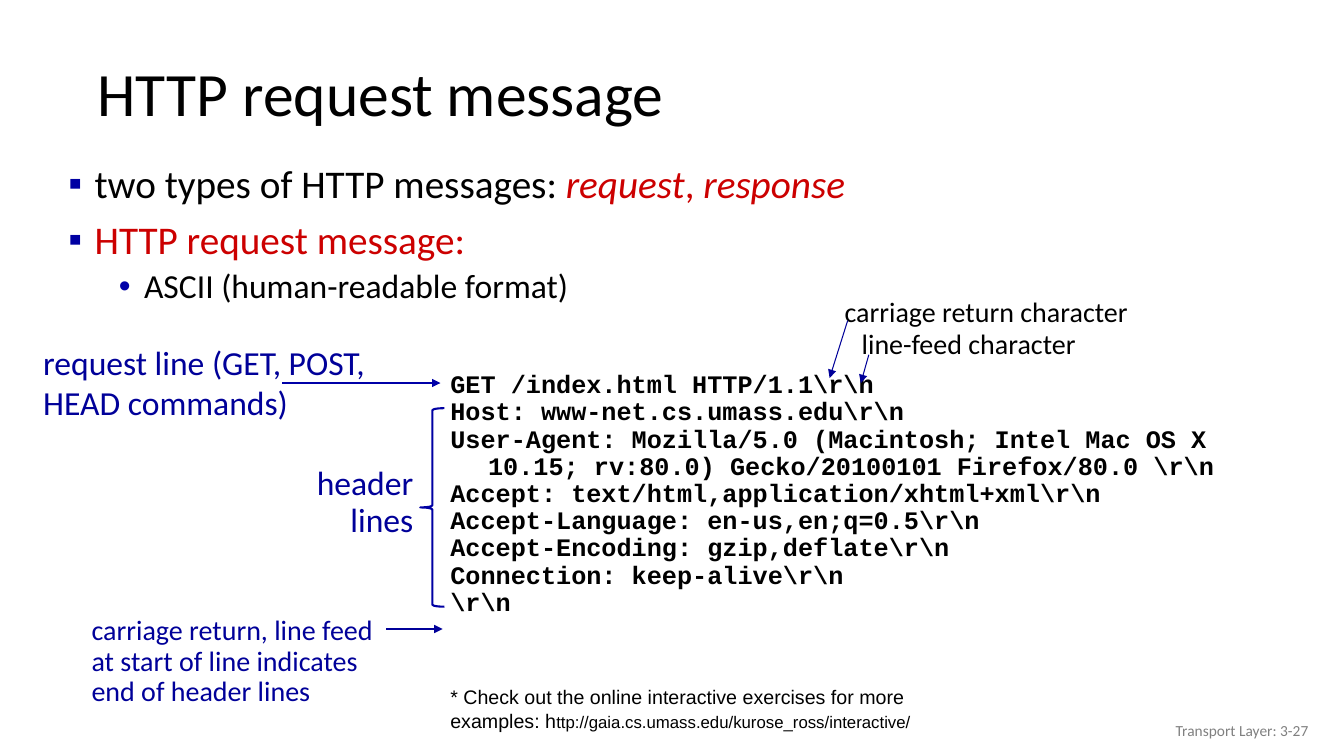
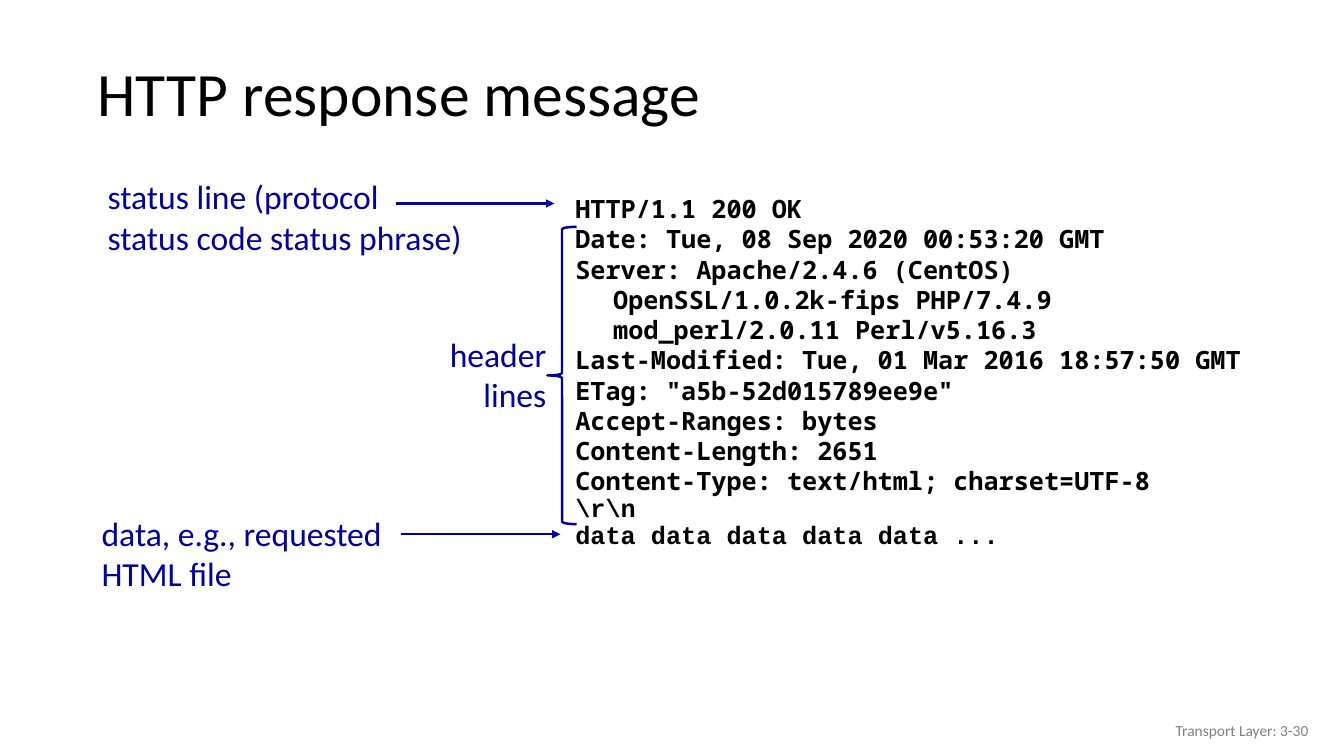
from lxml import etree
from pptx import Presentation
from pptx.dml.color import RGBColor
from pptx.enum import shapes, text
from pptx.oxml import ns
from pptx.util import Pt

BLACK = RGBColor(0x00, 0x00, 0x00)
GREY = RGBColor(0x80, 0x80, 0x80)
RED = RGBColor(0xCC, 0x00, 0x00)
NAVY = RGBColor(0x00, 0x00, 0x99)
BLUE = RGBColor(0x00, 0x00, 0xA3)
ARROW_BLUE = RGBColor(0x00, 0x00, 0xA8)

RIGHT = text.PP_ALIGN.RIGHT
MIDDLE = text.MSO_ANCHOR.MIDDLE
TEXT_STYLE = dict(font="Calibri", size=24, color=BLACK, bold=False, italic=False,
                  align=text.PP_ALIGN.LEFT, anchor=text.MSO_ANCHOR.TOP, wrap=True,
                  spacing=1.0, before=0, margin=0, hang=0, bullet=None, bullet_color=BLUE)

REQUEST = [
    r"GET /index.html HTTP/1.1\r\n",
    r"Host: www-net.cs.umass.edu\r\n",
    r"User-Agent: Mozilla/5.0 (Macintosh; Intel Mac OS X 10.15; rv:80.0) "
    r"Gecko/20100101 Firefox/80.0 \r\n",
    r"Accept: text/html,application/xhtml+xml\r\n",
    r"Accept-Language: en-us,en;q=0.5\r\n",
    r"Accept-Encoding: gzip,deflate\r\n",
    r"Connection: keep-alive\r\n",
    r"\r\n",
]
COURIER = dict(font="Courier New", spacing=0.9)
RESPONSE = [
    "HTTP/1.1 200 OK",
    "Date: Tue, 08 Sep 2020 00:53:20 GMT",
    "Server: Apache/2.4.6 (CentOS) OpenSSL/1.0.2k-fips PHP/7.4.9 mod_perl/2.0.11 Perl/v5.16.3",
    "Last-Modified: Tue, 01 Mar 2016 18:57:50 GMT",
    'ETag: "a5b-52d015789ee9e"',
    "Accept-Ranges: bytes",
    "Content-Length: 2651",
    "Content-Type: text/html; charset=UTF-8",
    [(r"\r\n", COURIER)],
    [("data data data data data ...", COURIER)],
]


def add_bullet(properties, style):
    """Give paragraph properties a coloured bullet character."""
    color = etree.SubElement(properties, ns.qn("a:buClr"))
    etree.SubElement(color, ns.qn("a:srgbClr"), val=str(style["bullet_color"]))
    etree.SubElement(properties, ns.qn("a:buFont"), typeface="Arial")
    etree.SubElement(properties, ns.qn("a:buChar"), char=style["bullet"])


def write(slide, box, paragraphs, **formats):
    """Write paragraphs, each a string or a list of (text, format) runs."""
    base = {**TEXT_STYLE, **formats}
    frame = slide.shapes.add_textbox(*map(Pt, box)).text_frame
    frame.word_wrap = base["wrap"]
    frame.vertical_anchor = base["anchor"]
    for index, content in enumerate(paragraphs):
        runs = [(content, {})] if isinstance(content, str) else content
        style = {**base, **runs[0][1]}
        paragraph = frame.add_paragraph() if index else frame.paragraphs[0]
        paragraph.alignment = style["align"]
        paragraph.line_spacing = style["spacing"]
        if index:
            paragraph.space_before = Pt(style["before"])
        properties = paragraph._p.get_or_add_pPr()
        properties.set("marL", str(Pt(style["margin"])))
        properties.set("indent", str(Pt(-style["hang"])))
        if style["bullet"]:
            add_bullet(properties, style)
        for words, changes in runs:
            look = {**base, **changes}
            run = paragraph.add_run()
            run.text = words
            run.font.name = look["font"]
            run.font.size = Pt(look["size"])
            run.font.bold = look["bold"]
            run.font.italic = look["italic"]
            run.font.color.rgb = look["color"]


def arrow(slide, start, end, color=NAVY, width=1.5):
    """Draw a straight arrow from start to end."""
    line = slide.shapes.add_connector(shapes.MSO_CONNECTOR.STRAIGHT, *map(Pt, (*start, *end)))
    line.line.color.rgb = color
    line.line.width = Pt(width)
    etree.SubElement(line.line._get_or_add_ln(), ns.qn("a:tailEnd"), type="triangle")
    etree.SubElement(line._element.spPr, ns.qn("a:effectLst"))


def message_slide(deck, title, number):
    """Add a slide with the shared title and footer."""
    slide = deck.slides.add_slide(deck.slide_layouts[6])
    write(slide, (62.6, 33.8, 828, 70.6), [title], size=44, spacing=0.9, anchor=MIDDLE)
    write(slide, (725.8, 507.6, 216, 28.8), [f"Transport Layer: 3-{number}"],
          size=11, color=GREY, align=RIGHT, anchor=MIDDLE)
    return slide


def listing(slide, box, lines, **formats):
    """Set the lines of a message in a bold fixed-width face."""
    write(slide, box, lines, size=18, bold=True, margin=27, hang=27, **formats)


def header_brace(slide, box, label_offset, width, **formats):
    """Bracket the header lines and label the bracket on its left."""
    left, top, _, height = box
    brace = slide.shapes.add_shape(shapes.MSO_SHAPE.LEFT_BRACE, *map(Pt, box))
    brace.shadow.inherit = False
    brace.fill.background()
    brace.line.color.rgb = BLUE
    brace.line.width = Pt(width)
    across, down = label_offset
    write(slide, (left + across, top + height / 2 + down, 84.2, 65.5),
          ["header", "lines"], align=RIGHT, wrap=False, **formats)


def callout(slide, box, lines, arrow_offset, reach, arrow_color=ARROW_BLUE, **formats):
    """Write a label and draw its arrow to the right."""
    write(slide, box, lines, **formats)
    x, y = box[0] + arrow_offset[0], box[1] + arrow_offset[1]
    arrow(slide, (x, y), (x + reach, y), arrow_color)


def overview(slide, box):
    """Write the bulleted introduction to request messages."""
    point = dict(size=28, bullet="▪", margin=18.7, hang=18.7, before=10)
    detail = dict(bullet="•", margin=54, hang=18, before=5, bullet_color=ARROW_BLUE)
    stress = dict(size=28, color=RED, italic=True)
    write(slide, box, [
        [("two types of HTTP messages: ", point), ("request", stress),
         (", ", {**stress, "italic": False}), ("response", stress)],
        [("HTTP request message:", {**point, "color": RED})],
        [("ASCII (human-readable format)", detail)],
    ], spacing=0.9)


def line_end_notes(slide, box):
    """Name the two line-end characters and point to them."""
    left, top, width, height = box
    write(slide, (left, top, width, 31.7), ["carriage return character"], size=20, wrap=False)
    write(slide, (left + 12.2, top + 23.1, width - 49.7, 31.7), ["line-feed character"],
          size=20, wrap=False)
    arrow(slide, (left + 9.3, top + 22.4), (left - 3.6, top + height - 3.6), width=0.75)
    arrow(slide, (left + 24.4, top + 46.8), (left + 18.7, top + height), width=0.75)


def request_slide(deck):
    """Build the slide on the request message."""
    slide = message_slide(deck, "HTTP request message", 27)
    overview(slide, (41.8, 113.8, 918, 112.3))
    listing(slide, (314.6, 262.1, 623.5, 184.3), REQUEST, **COURIER)
    line_end_notes(slide, (596.2, 206.6, 218.9, 67))
    callout(slide, (23.8, 240.5, 249.1, 65.5), ["request line (GET, POST,", "HEAD commands)"],
            (177.8, 33.1), 113, color=NAVY)
    header_brace(slide, (300.2, 291.6, 17.3, 141.8), (-82, -32.7), 1.5,
                 color=NAVY, spacing=0.9)
    callout(slide, (58.3, 437, 218.2, 72.7),
            ["carriage return, line feed at start of line indicates end of header lines"],
            (217.5, 12.3), 40.3, NAVY, size=20, color=NAVY, spacing=0.9)
    write(slide, (314.6, 486, 355, 41), [[
        ("* Check out the online interactive exercises for more examples: h", {}),
        ("ttp://gaia.cs.umass.edu/kurose_ross/interactive/", dict(size=12)),
    ]], font="Arial", size=14)


def response_slide(deck):
    """Build the slide on the response message."""
    slide = message_slide(deck, "HTTP response message", 30)
    callout(slide, (69.8, 122.4, 319.7, 65.5),
            ["status line (protocol", "status code status phrase)"],
            (213.2, 23), 113, color=BLUE)
    callout(slide, (65.5, 362.9, 283.7, 65.5), ["data, e.g., requested", "HTML file"],
            (221.1, 18.7), 113.7, color=BLUE)
    listing(slide, (403.9, 134.6, 496.8, 275), RESPONSE, font="Noto Sans Mono")
    header_brace(slide, (391, 162, 20.9, 212.4), (-77.8, -33.5), 1.75, color=BLUE)


def main():
    """Build and save the presentation."""
    deck = Presentation()
    deck.slide_width, deck.slide_height = Pt(960), Pt(540)
    request_slide(deck)
    response_slide(deck)
    deck.save("out.pptx")


if __name__ == "__main__":
    main()
